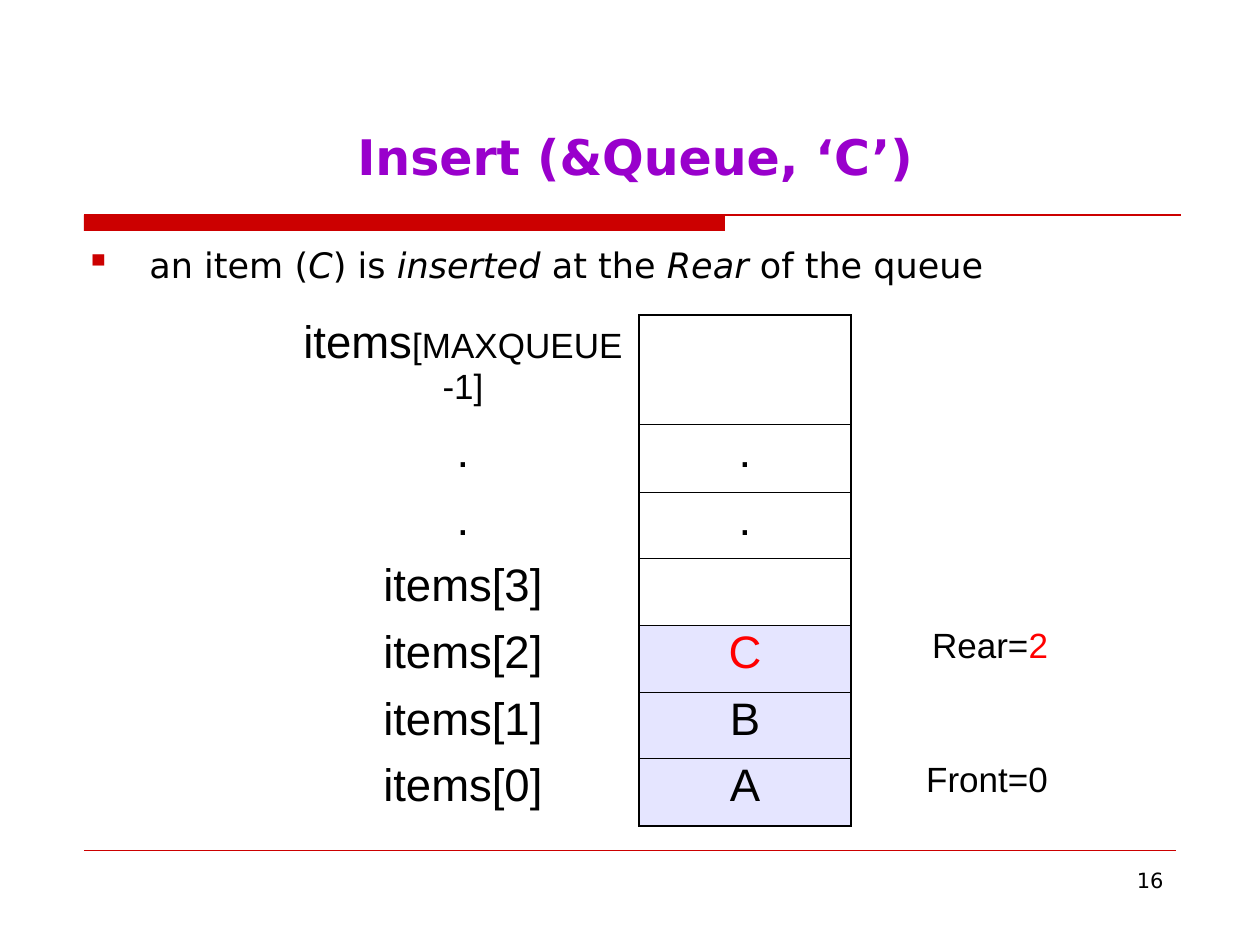
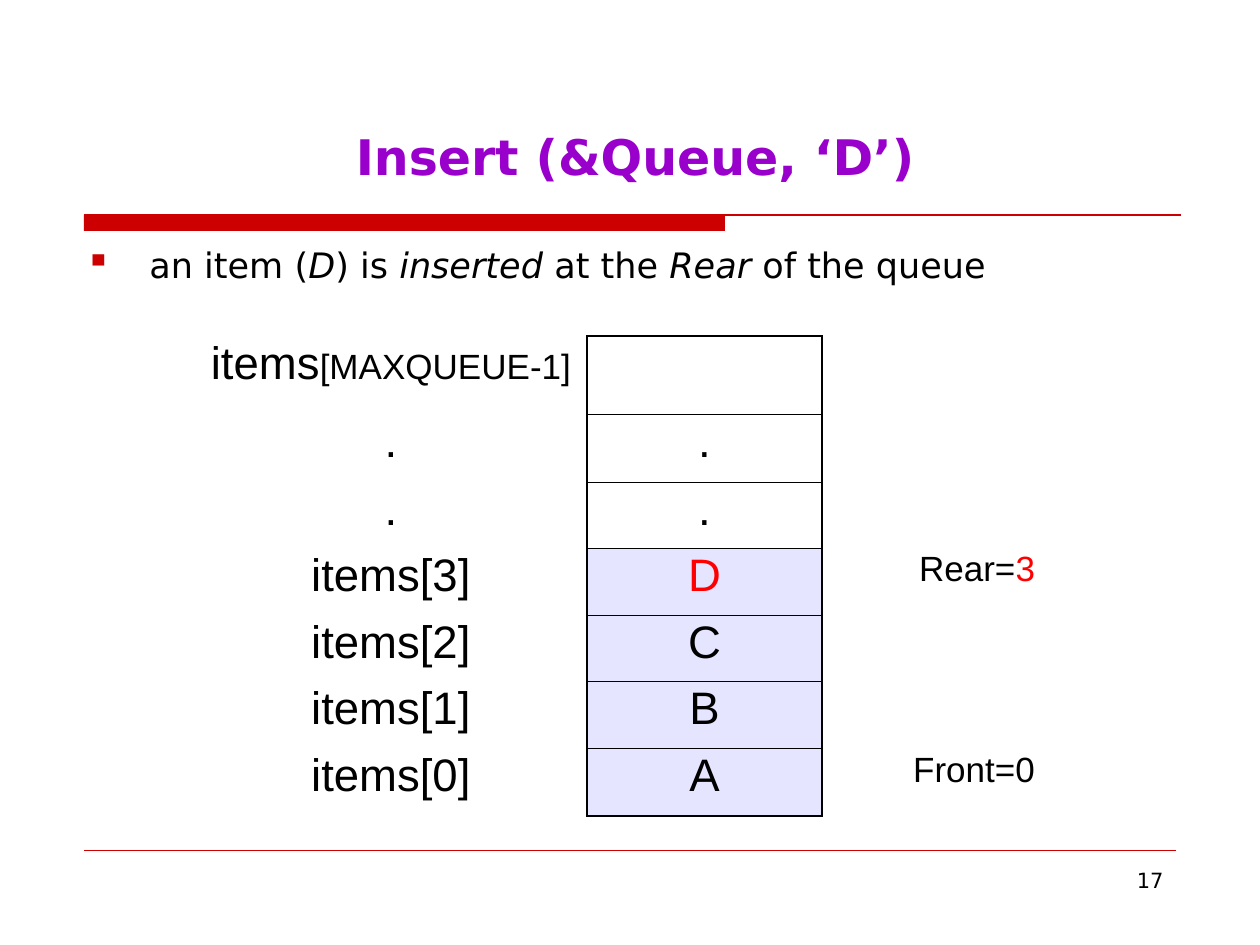
from lxml.etree import SubElement
from pptx import Presentation
from pptx.dml.color import RGBColor
from pptx.enum.shapes import MSO_CONNECTOR as Link, MSO_SHAPE as Shape
from pptx.enum.text import MSO_ANCHOR as Anchor, PP_ALIGN as Align
from pptx.oxml.ns import qn
from pptx.util import Emu, Pt

SCALE = 914400 / 126
RED, PURPLE, BLACK, HOT, LILAC = "CC0000", "9900CC", "000000", "FF0000", "E5E5FF"
SANS, ARIAL = "DejaVu Sans", "Arial"
PLAIN = "{2D5ABB26-0587-4C30-8999-92F81FD0307C}"  # table style without grid
THICK, THIN = 1.08, 0.45


def px(n):
    return Emu(round(n * SCALE))


def rgb(code):
    return RGBColor.from_string(code)


def write(para, text, size=20, font=SANS, color=BLACK, bold=False,
          slant=False, align=None, before=None):
    """Add one run to a paragraph."""
    run = para.add_run()
    run.text = text
    face = run.font
    face.size, face.name = Pt(size), font
    face.bold, face.italic = bold, slant
    face.color.rgb = rgb(color)
    if align is not None:
        para.alignment = align
    if before is not None:
        para.space_before = Pt(before)


def box(slide, x, y, w, h):
    frame = slide.shapes.add_textbox(px(x), px(y), px(w), px(h)).text_frame
    frame.word_wrap = True
    return frame.paragraphs[0]


def rule(slide, x1, x2, y, width):
    line = slide.shapes.add_connector(Link.STRAIGHT, px(x1), px(y), px(x2), px(y))
    line.line.color.rgb = rgb(RED)
    line.line.width = Pt(width)
    SubElement(line._element.spPr, qn("a:effectLst"))


def frame(slide, number):
    """Draw the band, the footer line and the page number."""
    band = slide.shapes.add_shape(Shape.RECTANGLE, px(84), px(215), px(641), px(16))
    band.shadow.inherit = False
    band.fill.solid()
    band.fill.fore_color.rgb = rgb(RED)
    band.line.fill.background()
    rule(slide, 84, 1181, 215, 0.75)
    rule(slide, 84, 1176, 850, 0.25)
    write(box(slide, 903, 861, 273, 65), str(number), size=12, align=Align.RIGHT)


def title(slide, text):
    shape = slide.shapes.title
    shape.left, shape.top, shape.width, shape.height = map(px, (84, 94, 1102, 95))
    body = shape.text_frame
    body.vertical_anchor = Anchor.BOTTOM
    body.margin_bottom = px(4)
    write(body.paragraphs[0], text, size=28, color=PURPLE, bold=True, align=Align.CENTER)


def bullet(slide, item):
    para = box(slide, 73, 231, 1113, 65)
    para.line_spacing = 1.14
    props = para._p.get_or_add_pPr()
    props.set("marL", str(px(64)))
    props.set("indent", str(-px(64)))
    tint = SubElement(props, qn("a:buClr"))
    SubElement(tint, qn("a:srgbClr"), val=RED)
    SubElement(props, qn("a:buChar"), char="▪")
    parts = ["an item (", item, ") is ", "inserted ", "at the ", "Rear ", "of the queue"]
    for i, part in enumerate(parts):
        write(para, part, slant=i % 2 == 1, align=Align.JUSTIFY)


def edge(cell, side, width):
    line = SubElement(cell._tc.get_or_add_tcPr(), qn("a:ln" + side), w=str(Pt(width)))
    fill = SubElement(line, qn("a:solidFill"))
    SubElement(fill, qn("a:srgbClr"), val=BLACK)


def outline(cell, row, last):
    """Border a queue slot; the two dot rows share one slot."""
    edge(cell, "L", THICK)
    edge(cell, "R", THICK)
    if row != 2:
        edge(cell, "T", THICK if row == 0 else THIN)
    if row != 1:
        edge(cell, "B", THICK if row == last else THIN)


def queue(slide, x, y, cols, head, slots):
    """Draw the array, its index labels and its two markers."""
    top, lines = head
    rows = [top, 68, 66] + [67] * 4
    table = slide.shapes.add_table(len(rows), len(cols), px(x), px(y),
                                   px(sum(cols)), px(sum(rows))).table
    table.first_row = table.horz_banding = False
    table._tbl.tblPr.find(qn("a:tableStyleId")).text = PLAIN
    for col, w in zip(table.columns, cols):
        col.width = px(w)
    for row, h in zip(table.rows, rows):
        row.height = px(h)

    rear = len(slots) - 1
    last = len(rows) - 1
    for r in range(len(rows)):
        name, slot, mark = [table.cell(r, c) for c in range(3)]
        for cell in (name, slot, mark):
            cell.margin_left = cell.margin_right = px(11)
            cell.margin_top, cell.margin_bottom = px(2), 0
        outline(slot, r, last)
        for cell in (name, slot, mark):
            cell.fill.background()

        # Index labels and slot values
        label, value = name.text_frame.paragraphs[0], slot.text_frame.paragraphs[0]
        look = dict(size=26, font=ARIAL, align=Align.CENTER, before=2.2 if r == 2 else 3)
        index = last - r
        if r == 0:
            write(label, "items", **look)
            write(label, lines[0], size=20, font=ARIAL)
            for more in lines[1:]:
                write(name.text_frame.add_paragraph(), more, size=20,
                      font=ARIAL, align=Align.CENTER, before=0)
        elif r < 3:
            write(label, ".", **look)
            write(value, ".", **look)
        else:
            write(label, f"items[{index}]", **look)
            if index <= rear:
                slot.fill.solid()
                slot.fill.fore_color.rgb = rgb(LILAC)
                write(value, slots[index], color=HOT if index == rear else BLACK, **look)

        # Markers
        note = mark.text_frame.paragraphs[0]
        look = dict(font=ARIAL, align=Align.RIGHT, before=3)
        if index == rear:
            write(note, "Rear=", **look)
            write(note, str(rear), color=HOT, **look)
        elif index == 0:
            write(note, "Front=0", **look)


def page(deck, number, slots, **grid):
    slide = deck.slides.add_slide(deck.slide_layouts[5])
    frame(slide, number)
    title(slide, f"Insert (&Queue, ‘{slots[-1]}’)")
    bullet(slide, slots[-1])
    queue(slide, slots=slots, **grid)


def main():
    deck = Presentation()
    deck.slide_width, deck.slide_height = px(1260), px(945)
    page(deck, 16, "ABC", x=287, y=315, cols=(352, 212, 208),
         head=(109, ["[MAXQUEUE", "-1]"]))
    page(deck, 17, "ABCD", x=195, y=336, cols=(392, 235, 224),
         head=(78, ["[MAXQUEUE-1]"]))
    deck.save("out.pptx")


if __name__ == "__main__":
    main()
